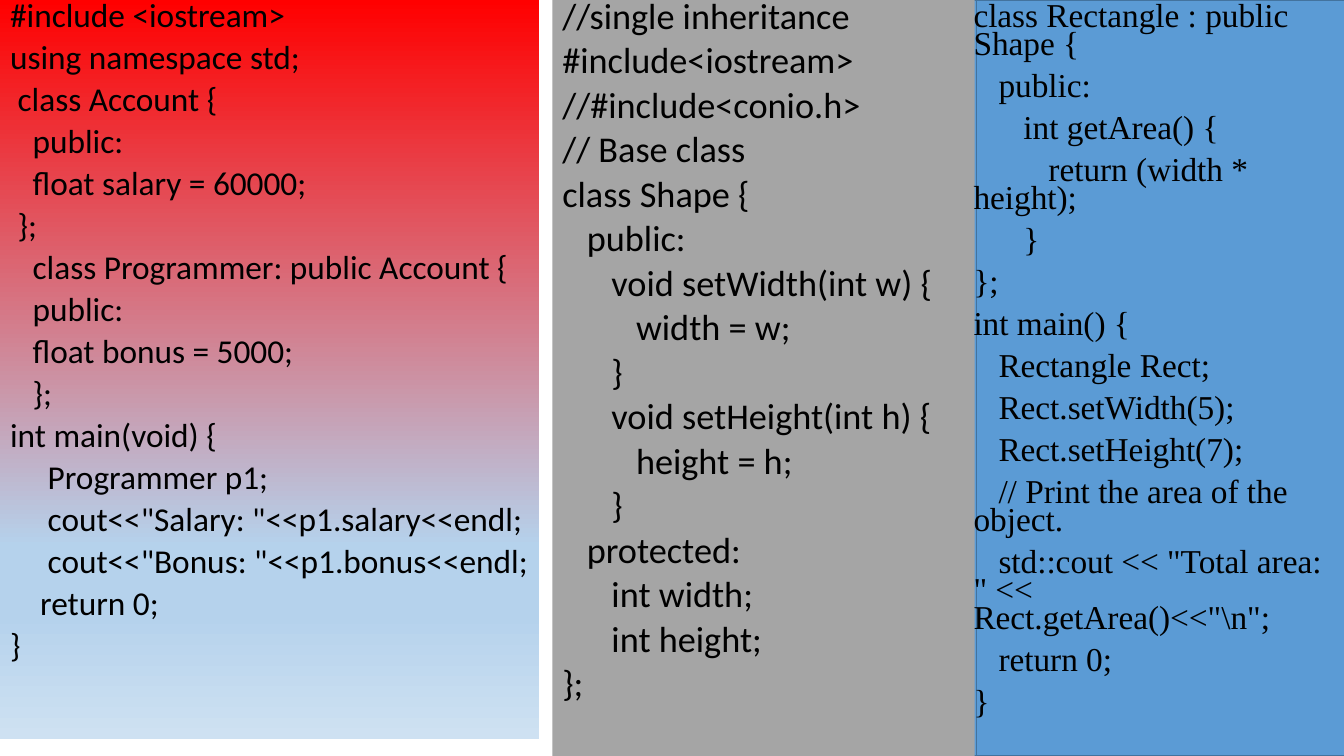
"""Slide with three panels of C++ inheritance code."""
from copy import deepcopy

from pptx import Presentation
from pptx.dml.color import RGBColor
from pptx.enum.shapes import MSO_SHAPE
from pptx.enum.text import MSO_ANCHOR, MSO_AUTO_SIZE, PP_ALIGN
from pptx.oxml.ns import qn
from pptx.util import Pt

RECT = MSO_SHAPE.RECTANGLE
TOP = MSO_ANCHOR.TOP
NOFIT = MSO_AUTO_SIZE.NONE
LEFT = PP_ALIGN.LEFT
BLACK = RGBColor(0x00, 0x00, 0x00)
BLUE = RGBColor(0x5B, 0x9B, 0xD5)
NAVY = RGBColor(0x43, 0x73, 0x9E)
GREY = RGBColor(0xA5, 0xA5, 0xA5)
RED = RGBColor(0xFF, 0x00, 0x00)
SKY = RGBColor(0xB5, 0xD2, 0xEC)
PALE = RGBColor(0xCE, 0xE1, 0xF2)

WIDE, HIGH = 960, 540
STOPS = [(0, RED), (0.74, SKY), (0.83, SKY), (1, PALE)]
BACKS = [(395.28, 302.4), (697.68, 271.44)]

ACCOUNT = [
    (0, "#include <iostream>"),
    (0, "using namespace std;"),
    (1, "class Account {"),
    (3, "public:"),
    (3, "float salary = 60000;"),
    (1, "};"),
    (3, "class Programmer: public Account {"),
    (3, "public:"),
    (3, "float bonus = 5000;"),
    (3, "};"),
    (0, "int main(void) {"),
    (5, "Programmer p1;"),
    (5, 'cout<<"Salary: "<<p1.salary<<endl;'),
    (5, 'cout<<"Bonus: "<<p1.bonus<<endl;'),
    (4, "return 0;"),
    (0, "}"),
]
SHAPE = [
    (0, "//single inheritance"),
    (0, "#include<iostream>"),
    (0, "//#include<conio.h>"),
    (0, "// Base class"),
    (0, "class Shape {"),
    (3, "public:"),
    (6, "void setWidth(int w) {"),
    (9, "width = w;"),
    (6, "}"),
    (6, "void setHeight(int h) {"),
    (9, "height = h;"),
    (6, "}"),
    (3, "protected:"),
    (6, "int width;"),
    (6, "int height;"),
    (0, "};"),
]
AREA = [
    (0, "class Rectangle : public Shape {"),
    (3, "public:"),
    (6, "int getArea() {"),
    (9, "return (width * height);"),
    (6, "}"),
    (0, "};"),
    (0, "int main() {"),
    (3, "Rectangle Rect;"),
    (3, "Rect.setWidth(5);"),
    (3, "Rect.setHeight(7);"),
    (3, "// Print the area of the object."),
    (3, 'std::cout << "Total area: " << Rect.getArea()<<"\\n";'),
    (3, "return 0;"),
    (0, "}"),
]


def write(shape, code, font, size, space):
    """Fill a shape with code, indenting each first line by its depth."""
    frame = shape.text_frame
    frame.word_wrap = True
    frame.auto_size = NOFIT
    frame.vertical_anchor = TOP
    for row, (depth, text) in enumerate(code):
        para = frame.paragraphs[0] if row == 0 else frame.add_paragraph()
        para.text = text
        para.alignment = LEFT
        para.line_spacing = 0.7
        para.space_before = Pt(10)
        para.font.name = font
        para.font.size = Pt(size)
        para.font.color.rgb = BLACK
        props = para._p.get_or_add_pPr()
        props.set("marL", "0")
        props.set("indent", str(Pt(depth * space * size)))
        props.get_or_add_defRPr().addprevious(
            props.makeelement(qn("a:buNone"), {}))


def place(shape, left, width, height):
    """Set a shape against the top edge."""
    shape.left, shape.top = Pt(left), Pt(0)
    shape.width, shape.height = Pt(width), Pt(height)


def panel(slide, left, width, fill):
    """Add a plain full-height rectangle."""
    box = slide.shapes.add_shape(RECT, Pt(left), Pt(0), Pt(width), Pt(HIGH))
    box.shadow.inherit = False
    box.fill.solid()
    box.fill.fore_color.rgb = fill
    box.line.fill.background()
    return box


def shade(shape):
    """Give a shape the red to pale blue gradient."""
    fill = shape.fill
    fill.gradient()
    fill.gradient_angle = 270
    stops = shape._element.spPr.find(".//" + qn("a:gsLst"))
    for stop in list(stops):
        stops.append(deepcopy(stop))
    for stop, (spot, color) in zip(fill.gradient_stops, STOPS):
        stop.position = spot
        stop.color.rgb = color


def main():
    """Build and save the slide."""
    deck = Presentation()
    deck.slide_width, deck.slide_height = Pt(WIDE), Pt(HIGH)
    slide = deck.slides.add_slide(deck.slide_layouts[1])
    title = slide.shapes.title._element
    title.getparent().remove(title)
    body = slide.placeholders[1]

    for left, width in BACKS:
        back = panel(slide, left, width, BLUE)
        back.line.color.rgb = NAVY
        back.line.width = Pt(1)
        body._element.addprevious(back._element)

    place(body, 0, 385.2, 527.76)
    shade(body)
    write(body, ACCOUNT, "Calibri", 23.8, 0.226)

    base = panel(slide, 394.56, 301.68, GREY)
    write(base, SHAPE, "Calibri", 25.9, 0.226)

    area = slide.shapes.add_textbox(Pt(688.32), Pt(0), Pt(271.44), Pt(548.64))
    write(area, AREA, "Times New Roman", 23.8, 0.25)

    deck.save("out.pptx")


if __name__ == "__main__":
    main()
